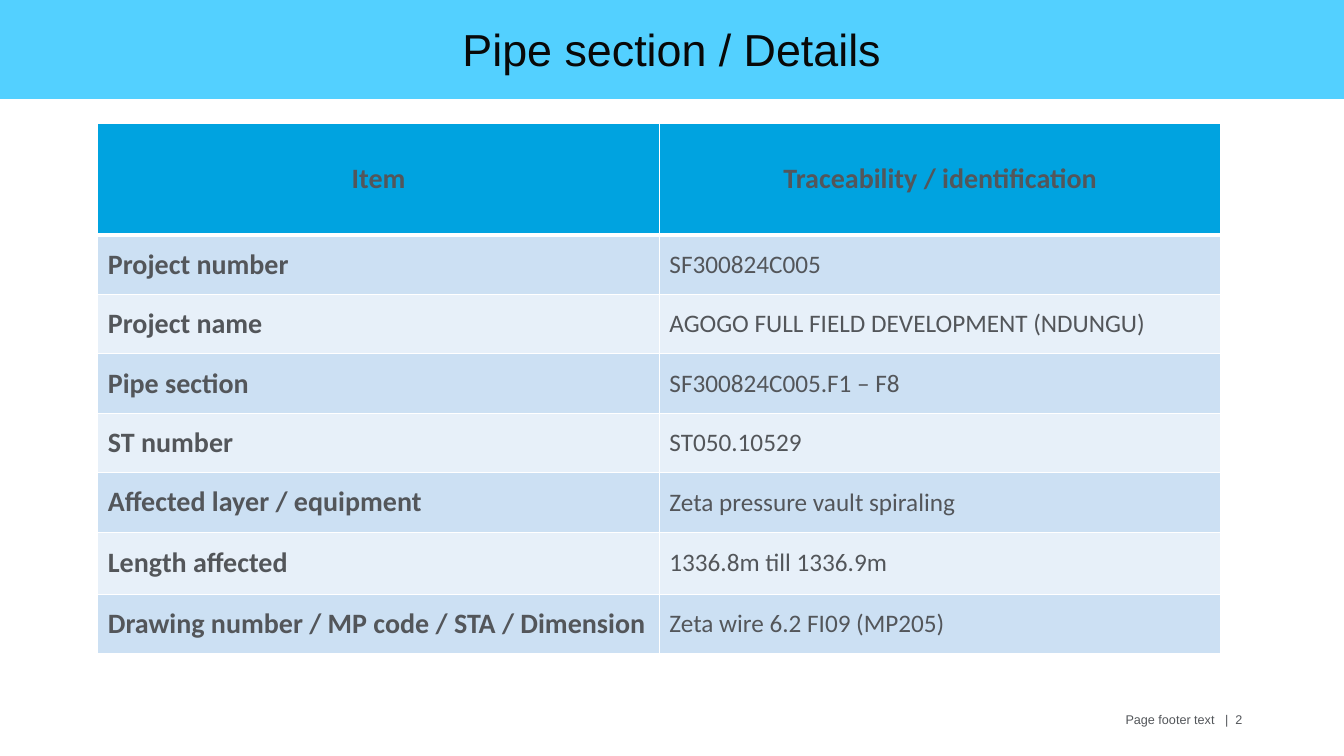
"""Build the pipe section details slide."""
from dataclasses import dataclass

from lxml import etree
from pptx import Presentation
from pptx.dml.color import RGBColor
from pptx.enum.text import MSO_ANCHOR, MSO_AUTO_SIZE, PP_ALIGN
from pptx.oxml.ns import qn
from pptx.slide import Slide
from pptx.table import _Cell
from pptx.text.text import TextFrame
from pptx.util import Inches, Pt

CENTER, LEFT, RIGHT = PP_ALIGN.CENTER, PP_ALIGN.LEFT, PP_ALIGN.RIGHT
MIDDLE = MSO_ANCHOR.MIDDLE
NO_AUTOFIT = MSO_AUTO_SIZE.NONE


@dataclass(frozen=True)
class TextStyle:
    """Type settings of one kind of text."""
    font: str
    size: float
    color: str
    bold: bool = False
    align: PP_ALIGN = LEFT


@dataclass(frozen=True)
class Theme:
    """Colours and text styles of the slide."""
    banner: str = "53D0FF"
    header_fill: str = "00A3E0"
    bands: tuple[str, str] = ("CCE0F3", "E7F0F9")
    border: str = "FFFFFF"
    title: TextStyle = TextStyle("Arial", 32, "080808", align=CENTER)
    header: TextStyle = TextStyle("Calibri", 20, "53565A", True, CENTER)
    item: TextStyle = TextStyle("Calibri", 20, "53565A", True)
    value: TextStyle = TextStyle("Calibri", 18, "53565A")
    footer: TextStyle = TextStyle("Arial", 9, "53565A", align=RIGHT)


@dataclass(frozen=True)
class Detail:
    """One row of the details table."""
    item: str
    value: str
    height: float = 0.59


THEME = Theme()
HEADER = Detail("Item", "Traceability / identification", 1.11)
DETAILS = (
    Detail("Project number", "SF300824C005"),
    Detail("Project name", "AGOGO FULL FIELD DEVELOPMENT (NDUNGU)"),
    Detail("Pipe section", "SF300824C005.F1 – F8"),
    Detail("ST number", "ST050.10529"),
    Detail("Affected layer / equipment", "Zeta pressure vault spiraling"),
    Detail("Length affected", "1336.8m till 1336.9m", 0.62),
    Detail("Drawing number / MP code / STA / Dimension", "Zeta wire 6.2 FI09 (MP205)"),
)


def write_text(frame: TextFrame, text: str, style: TextStyle) -> None:
    """Write one styled paragraph into a text frame."""
    frame.text = text
    para = frame.paragraphs[0]
    para.alignment = style.align
    para.font.name = style.font
    para.font.size = Pt(style.size)
    para.font.bold = style.bold
    para.font.color.rgb = RGBColor.from_string(style.color)


def set_borders(cell: _Cell, top: float, bottom: float) -> None:
    """Draw the four borders of a cell, with widths in points."""
    properties = cell._tc.get_or_add_tcPr()
    for side, width in (("L", 1), ("R", 1), ("T", top), ("B", bottom)):
        line = etree.SubElement(properties, qn(f"a:ln{side}"), w=str(Pt(width)))
        fill = etree.SubElement(line, qn("a:solidFill"))
        etree.SubElement(fill, qn("a:srgbClr"), val=THEME.border)


def add_title(page: Slide) -> None:
    """Turn the title placeholder into a full-width banner."""
    title = page.shapes.title
    title.left, title.top = Inches(0), Inches(-0.01)
    title.width, title.height = Inches(13.33), Inches(0.99)
    title.fill.solid()
    title.fill.fore_color.rgb = RGBColor.from_string(THEME.banner)
    write_text(title.text_frame, "Pipe section / Details", THEME.title)
    title.text_frame.vertical_anchor = MIDDLE
    title.text_frame.auto_size = NO_AUTOFIT


def add_details(page: Slide) -> None:
    """Add the table of items and their identification."""
    rows = (HEADER, *DETAILS)
    height = sum(row.height for row in rows)
    table = page.shapes.add_table(
        len(rows), 2, Inches(0.97), Inches(1.22), Inches(11.14), Inches(height)
    ).table
    for index, row in enumerate(rows):
        table.rows[index].height = Inches(row.height)
        is_header = index == 0
        styles = (THEME.header,) * 2 if is_header else (THEME.item, THEME.value)
        color = THEME.header_fill if is_header else THEME.bands[(index - 1) % 2]
        for column, (text, style) in enumerate(zip((row.item, row.value), styles)):
            cell = table.cell(index, column)
            set_borders(cell, 3 if index == 1 else 1, 3 if is_header else 1)
            cell.fill.solid()
            cell.fill.fore_color.rgb = RGBColor.from_string(color)
            cell.vertical_anchor = MIDDLE
            write_text(cell.text_frame, text, style)


def add_footer(page: Slide) -> None:
    """Add the footer text with the page number."""
    box = page.shapes.add_textbox(Inches(9.12), Inches(7.01), Inches(3.3), Inches(0.4))
    box.text_frame.word_wrap = True
    write_text(box.text_frame, "Page footer text   |  2", THEME.footer)


def main() -> None:
    """Build and save the deck."""
    deck = Presentation()
    deck.slide_width, deck.slide_height = Inches(13.33), Inches(7.5)
    page = deck.slides.add_slide(deck.slide_layouts.get_by_name("Title Only"))
    add_footer(page)
    add_details(page)
    add_title(page)
    deck.save("out.pptx")


if __name__ == "__main__":
    main()
